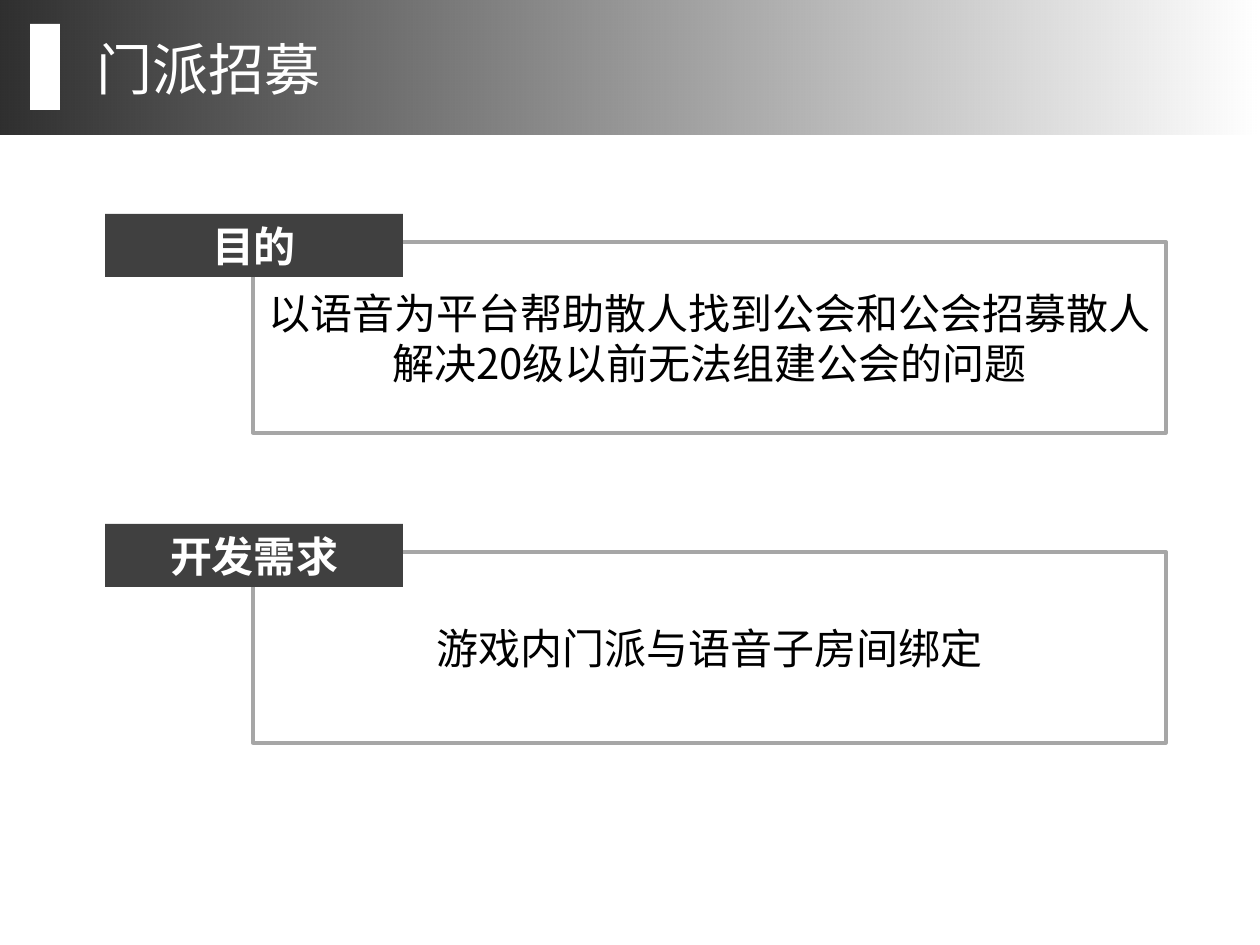
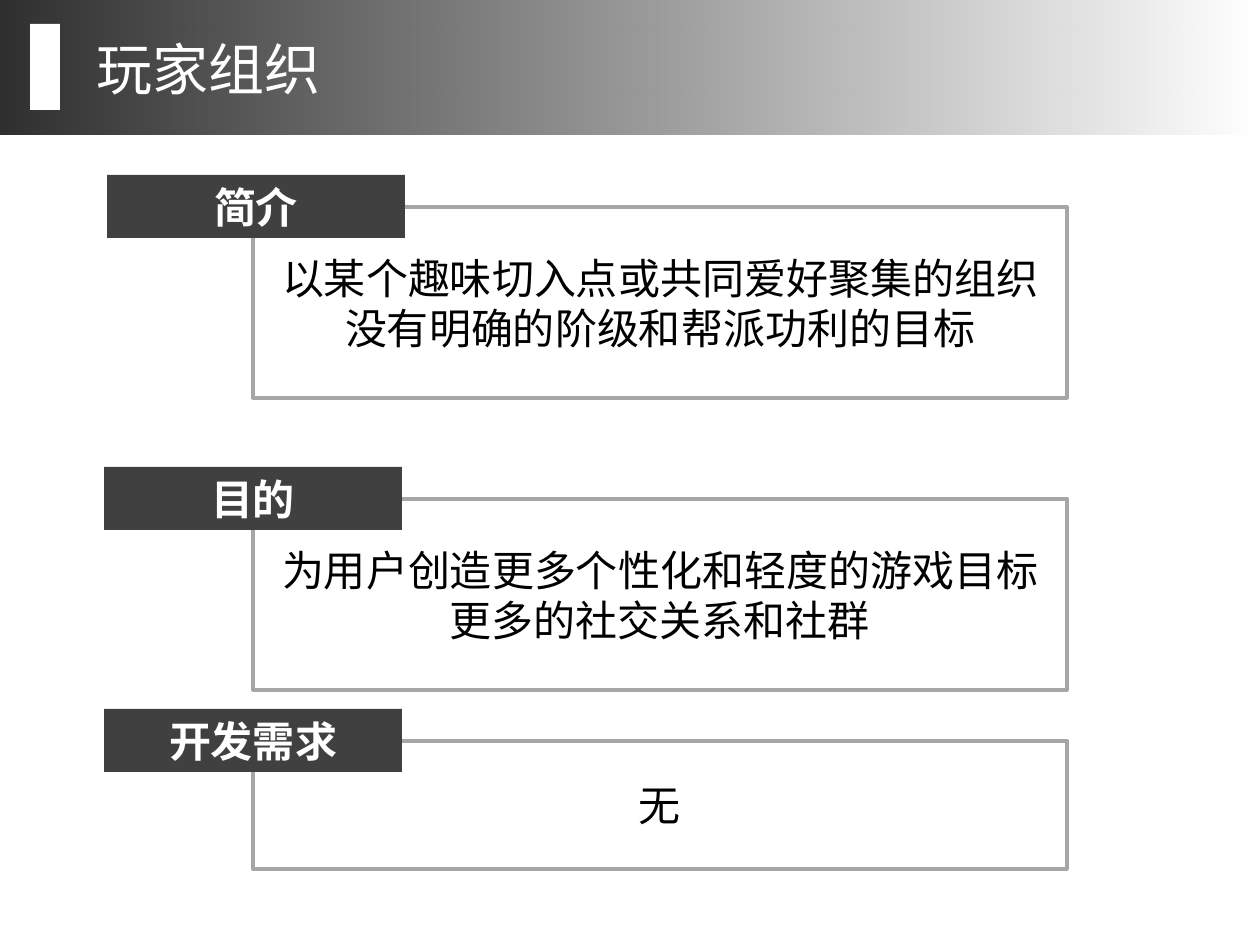
from dataclasses import dataclass

from lxml.etree import SubElement
from pptx import Presentation
from pptx.dml.color import RGBColor
from pptx.enum.shapes import MSO_SHAPE as Shape
from pptx.enum.text import MSO_ANCHOR as Anchor, MSO_AUTO_SIZE as AutoSize, PP_ALIGN as Align
from pptx.oxml.ns import qn
from pptx.util import Pt

EMU_PER_PX = 914400 / 126


@dataclass(frozen=True)
class Theme:
    """Colours, type sizes and font shared by the slides."""
    white: RGBColor = RGBColor(255, 255, 255)
    black: RGBColor = RGBColor(0, 0, 0)
    label: RGBColor = RGBColor(0x40, 0x40, 0x40)
    border: RGBColor = RGBColor(0xA6, 0xA6, 0xA6)
    font: str = "Noto Sans CJK SC"
    title_size: int = 32
    body_size: int = 24
    border_width: int = 2
    band_alpha: tuple = (82, 0)


THEME = Theme()


@dataclass(frozen=True)
class Box:
    """A rectangle in px."""
    left: int
    top: int
    width: int
    height: int

    def inner(self, left, top, width, height):
        """Return a box placed relative to this one."""
        return Box(self.left + left, self.top + top, width, height)

    def emu(self):
        """Return left, top, width and height in EMU."""
        return [px(v) for v in (self.left, self.top, self.width, self.height)]


def px(length):
    """Turn px into EMU."""
    return round(length * EMU_PER_PX)


def write(frame, lines, size, color, align, anchor, bold=False):
    """Write each line as a paragraph with one run."""
    frame.word_wrap = True
    frame.vertical_anchor = anchor
    for index, line in enumerate(lines):
        paragraph = frame.paragraphs[0] if index == 0 else frame.add_paragraph()
        paragraph.alignment = align
        run = paragraph.add_run()
        run.text = line
        run.font.size = Pt(size)
        run.font.bold = bold
        run.font.name = THEME.font
        run.font.color.rgb = color
        SubElement(run.font._element, qn("a:ea"), typeface=THEME.font)


def add_rect(slide, box, fill=None, border=None):
    """Add a flat rectangle with an optional fill and border."""
    rect = slide.shapes.add_shape(Shape.RECTANGLE, *box.emu())
    rect.shadow.inherit = False
    if fill is None:
        rect.fill.background()
    else:
        rect.fill.solid()
        rect.fill.fore_color.rgb = fill
    if border is None:
        rect.line.fill.background()
    else:
        rect.line.color.rgb = border
        rect.line.width = Pt(THEME.border_width)
    return rect


def add_header(slide, box, title):
    """Add the fading band, its white marker and the title."""
    band = add_rect(slide, box)
    band.fill.gradient()
    band.fill.gradient_angle = 0
    for stop in band.fill.gradient_stops:
        stop.color.rgb = THEME.black
    for color, alpha in zip(band._element.iter(qn("a:srgbClr")), THEME.band_alpha):
        SubElement(color, qn("a:alpha"), val=str(alpha * 1000))
    add_rect(slide, box.inner(30, 24, 30, 86), THEME.white)
    heading = slide.shapes.add_textbox(*box.inner(84, 28, 912, 81).emu()).text_frame
    write(heading, [title], THEME.title_size, THEME.white, Align.LEFT, Anchor.TOP)
    heading.auto_size = AutoSize.SHAPE_TO_FIT_TEXT


def add_section(slide, box, label, lines, label_at):
    """Add a bordered panel with a label overlapping its top left corner."""
    panel = add_rect(slide, box, border=THEME.border)
    write(panel.text_frame, lines, THEME.body_size, THEME.black, Align.CENTER, Anchor.MIDDLE)
    tag = add_rect(slide, box.inner(*label_at, 298, 63), THEME.label)
    write(tag.text_frame, [label], THEME.body_size, THEME.white, Align.CENTER, Anchor.TOP, True)
    tag.text_frame.auto_size = AutoSize.SHAPE_TO_FIT_TEXT


def add_topic_slide(deck, title, panel_width, sections):
    """Add a slide with a header and a column of labelled panels."""
    slide = deck.slides.add_slide(deck.slide_layouts[6])
    add_header(slide, Box(0, 0, 1260, 135), title)
    for top, height, label_at, label, lines in sections:
        add_section(slide, Box(253, top, panel_width, height), label, lines, label_at)


def main():
    """Build and save the deck."""
    deck = Presentation()
    deck.slide_width, deck.slide_height = px(1260), px(945)
    add_topic_slide(deck, "门派招募", 913, [
        (242, 191, (-148, -28), "目的",
         ["以语音为平台帮助散人找到公会和公会招募散人", "解决20级以前无法组建公会的问题"]),
        (552, 191, (-148, -28), "开发需求", ["游戏内门派与语音子房间绑定"]),
    ])
    add_topic_slide(deck, "玩家组织", 814, [
        (207, 191, (-146, -32), "简介",
         ["以某个趣味切入点或共同爱好聚集的组织", "没有明确的阶级和帮派功利的目标"]),
        (499, 191, (-149, -32), "目的",
         ["为用户创造更多个性化和轻度的游戏目标", "更多的社交关系和社群"]),
        (741, 128, (-149, -32), "开发需求", ["无"]),
    ])
    deck.save("out.pptx")


if __name__ == "__main__":
    main()
